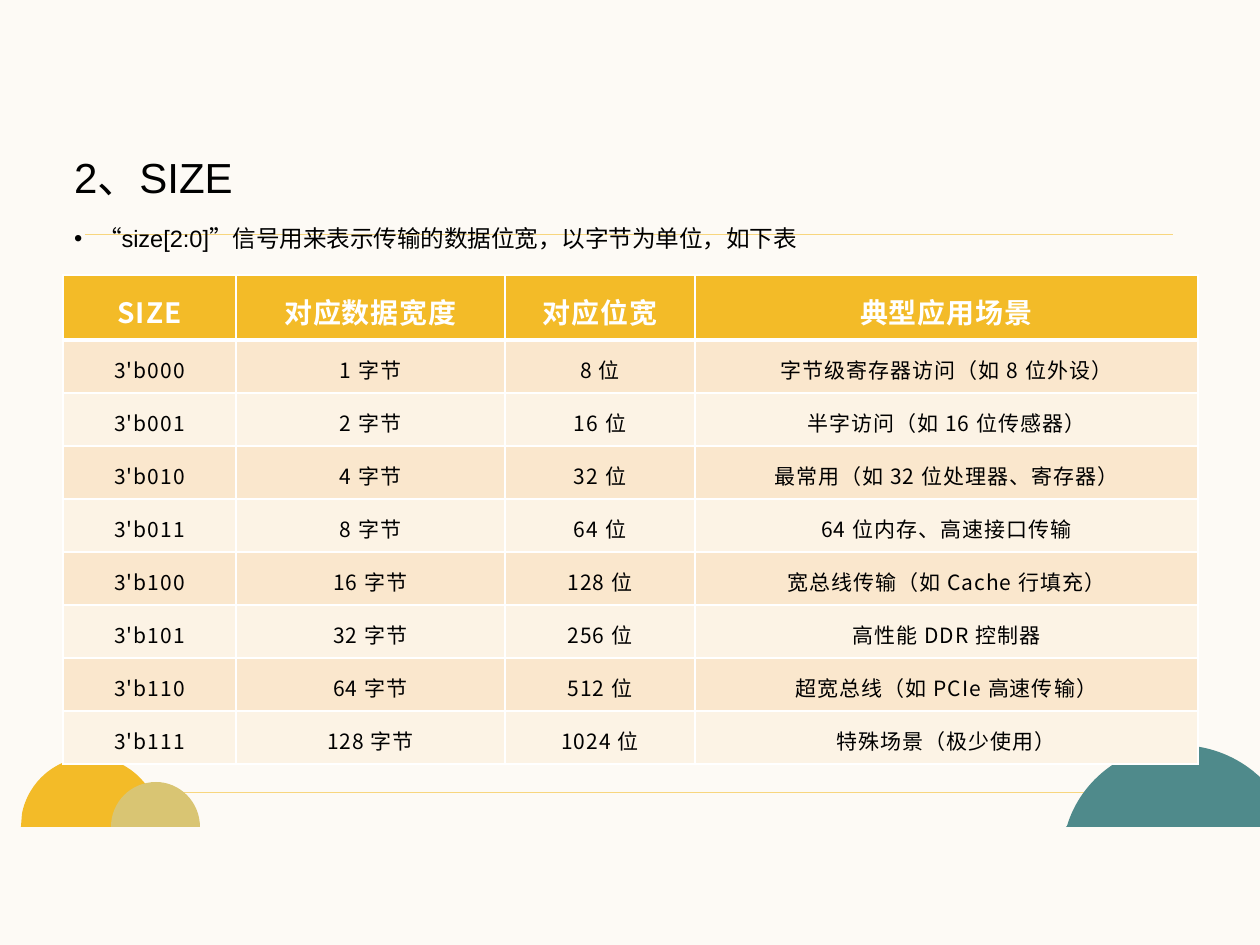
from dataclasses import dataclass

from lxml import etree
from pptx import Presentation
from pptx import util as u
from pptx.dml.color import RGBColor
from pptx.enum import shapes, text
from pptx.oxml.ns import qn

WIDTH, HEIGHT = 1260, 945
EMU_PER_PX = 914400 / 126


@dataclass(frozen=True)
class Theme:
    background: str = "FDFAF5"
    ink: str = "000000"
    white: str = "FFFFFF"
    gold: str = "F3BB28"
    rule: str = "F8D67E"
    sand: str = "D9C573"
    teal: str = "4F8A8B"
    bands: tuple = ("FAE7CD", "FCF3E5")
    latin: str = "Arial"
    chinese: str = "Noto Sans CJK SC"
    heading_size: float = 24
    bullet_size: float = 13.5
    header_size: float = 16
    cell_size: float = 12


def px(length):
    return u.Emu(round(length * EMU_PER_PX))


def rgb(value):
    return RGBColor.from_string(value)


class SlideBuilder:
    def __init__(self, slide, theme):
        self.slide = slide
        self.theme = theme
        fill = slide.background.fill
        fill.solid()
        fill.fore_color.rgb = rgb(theme.background)

    def rule(self, left, right, y):
        line = self.slide.shapes.add_connector(
            shapes.MSO_CONNECTOR.STRAIGHT, px(left), px(y), px(right), px(y))
        line.line.color.rgb = rgb(self.theme.rule)
        line.line.width = u.Pt(0.5)
        etree.SubElement(line._element.spPr, qn("a:effectLst"))

    def dome(self, color, start, *segments):
        """Fill an outline; a segment is an end point, or two controls and an end."""
        ends = [tuple(map(px, segment[-2:])) for segment in segments]
        builder = self.slide.shapes.build_freeform(*map(px, start), scale=1.0)
        builder.add_line_segments(ends, close=True)
        shape = builder.convert_to_shape()
        lines = list(shape._element.iter(qn("a:lnTo")))
        for line, segment in zip(lines, segments):
            if len(segment) == 6:
                curve = etree.Element(qn("a:cubicBezTo"))
                for x, y in zip(segment[::2], segment[1::2]):
                    etree.SubElement(curve, qn("a:pt"), x=str(px(x) - shape.left),
                                     y=str(px(y) - shape.top))
                line.getparent().replace(line, curve)
        shape.shadow.inherit = False
        shape.fill.solid()
        shape.fill.fore_color.rgb = rgb(color)
        shape.line.fill.background()

    def run(self, paragraph, words, size, color, font, bold=False, spacing=None):
        run = paragraph.add_run()
        run.text = words
        run.font.size = u.Pt(size)
        run.font.bold = bold
        run.font.color.rgb = rgb(color)
        run.font.name = font
        properties = run._r.get_or_add_rPr()
        etree.SubElement(properties, qn("a:ea"), typeface=self.theme.chinese)
        if spacing:
            properties.set("spc", str(spacing))

    def body(self, box, heading, bullet):
        theme = self.theme
        slide_shapes = self.slide.shapes
        slide_shapes.title._element.getparent().remove(slide_shapes.title._element)
        shape = self.slide.placeholders[1]
        slide_shapes._spTree.append(shape._element)  # in front of the scenery
        shape.left, shape.top, shape.width, shape.height = map(px, box)
        frame = shape.text_frame
        frame.word_wrap = True
        frame.auto_size = text.MSO_AUTO_SIZE.NONE
        frame.vertical_anchor = text.MSO_ANCHOR.TOP
        frame.margin_left = frame.margin_right = 0
        frame.margin_top = frame.margin_bottom = 0

        lines = ((heading, theme.heading_size, None, 0),
                 (bullet, theme.bullet_size, "•", 24))
        for index, (words, size, mark, indent) in enumerate(lines):
            paragraph = frame.paragraphs[0] if index == 0 else frame.add_paragraph()
            properties = paragraph._p.get_or_add_pPr()
            properties.set("marL", str(px(indent)))
            properties.set("indent", str(px(-indent)))
            if mark:
                etree.SubElement(properties, qn("a:buFont"), typeface=theme.latin)
                etree.SubElement(properties, qn("a:buChar"), char=mark)
            else:
                etree.SubElement(properties, qn("a:buNone"))
            paragraph.alignment = text.PP_ALIGN.LEFT
            paragraph.line_spacing = 1.3
            paragraph.space_before = u.Pt(8 if index else 0)
            paragraph.space_after = u.Pt(0)
            self.run(paragraph, words, size, theme.ink, theme.latin)

    def borders(self, cell, top, bottom):
        properties = cell._tc.get_or_add_tcPr()
        for side, points in (("L", 1), ("R", 1), ("T", top), ("B", bottom)):
            line = etree.SubElement(
                properties, qn(f"a:ln{side}"), w=str(u.Pt(points)))
            fill = etree.SubElement(line, qn("a:solidFill"))
            etree.SubElement(fill, qn("a:srgbClr"), val=self.theme.white)

    def table(self, left, top, widths, heights, rows):
        theme = self.theme
        frame = self.slide.shapes.add_table(
            len(rows), len(widths), px(left), px(top),
            px(sum(widths)), px(sum(heights)))
        table = frame.table
        for column, width in zip(table.columns, widths):
            column.width = px(width)
        for index, (row, height, values) in enumerate(
                zip(table.rows, heights, rows)):
            row.height = px(height)
            header = index == 0
            fill = theme.gold if header else theme.bands[(index - 1) % 2]
            size = theme.header_size if header else theme.cell_size
            color = theme.white if header else theme.ink
            for cell, words in zip(row.cells, values):
                self.borders(cell, 3 if index == 1 else 1, 3 if header else 1)
                cell.fill.solid()
                cell.fill.fore_color.rgb = rgb(fill)
                cell.vertical_anchor = text.MSO_ANCHOR.MIDDLE
                cell.margin_left = cell.margin_right = px(4)
                cell.margin_top = cell.margin_bottom = px(4)
                paragraph = cell.text_frame.paragraphs[0]
                paragraph.alignment = text.PP_ALIGN.CENTER
                paragraph.line_spacing = 1.2
                self.run(paragraph, words, size, color, theme.chinese,
                         bold=header, spacing=60)


def main():
    presentation = Presentation()
    presentation.slide_width, presentation.slide_height = px(WIDTH), px(HEIGHT)
    theme = Theme()
    slide = presentation.slides.add_slide(presentation.slide_layouts[1])
    builder = SlideBuilder(slide, theme)

    builder.rule(85, 1173, 234)
    builder.dome(theme.gold, (91, 757), (125, 757, 153, 782, 159, 814),
                 (160, 827), (21, 827), (22, 814), (28, 782, 56, 757, 91, 757))
    builder.rule(160, 1091, 792)
    builder.dome(theme.sand, (156, 782), (131, 782, 111, 802, 111, 827),
                 (200, 827), (200, 802, 180, 782, 156, 782))
    builder.dome(theme.teal, (1178, 745), (1207, 745, 1233, 755, 1253, 771),
                 (1260, 777), (1260, 827), (1066, 827),
                 (1067, 826), (1081, 779, 1126, 745, 1178, 745))

    builder.body((74, 136, 1116, 504), "2、SIZE",
                 "“size[2:0]”信号用来表示传输的数据位宽，以字节为单位，如下表")

    scenarios = (
        "字节级寄存器访问（如 8 位外设）",
        "半字访问（如 16 位传感器）",
        "最常用（如 32 位处理器、寄存器）",
        "64 位内存、高速接口传输",
        "宽总线传输（如 Cache 行填充）",
        "高性能 DDR 控制器",
        "超宽总线（如 PCIe 高速传输）",
        "特殊场景（极少使用）",
    )
    rows = [("SIZE", "对应数据宽度", "对应位宽", "典型应用场景")]
    for code, scenario in enumerate(scenarios):
        size = 2 ** code
        rows.append((f"3'b{code:03b}", f"{size} 字节", f"{size * 8} 位", scenario))
    builder.table(63, 275, (173, 269, 190, 503),
                  [65] + [53] * len(scenarios), rows)

    presentation.save("out.pptx")


if __name__ == "__main__":
    main()
